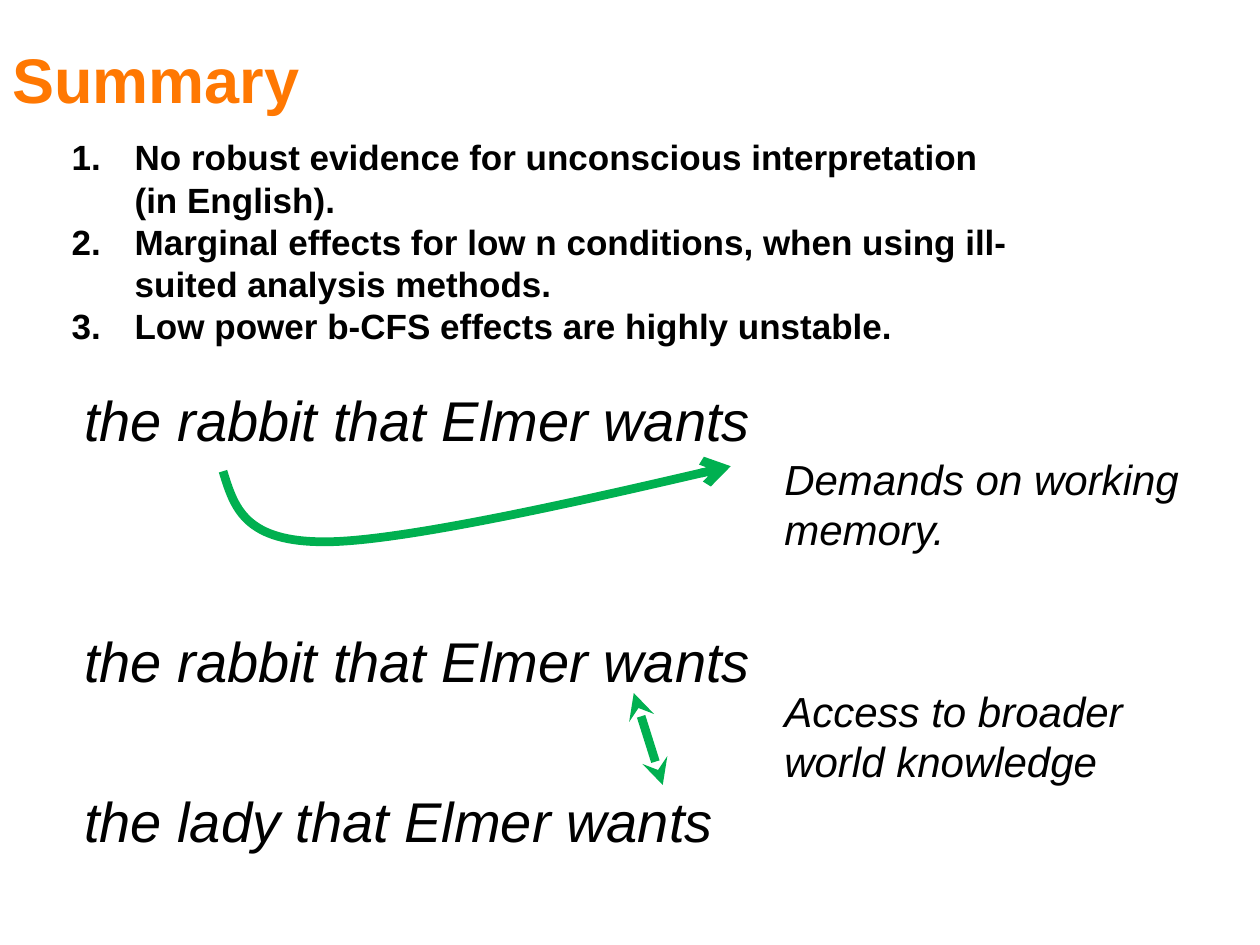
from lxml.etree import SubElement
from pptx import Presentation
from pptx.dml.color import RGBColor
from pptx.enum.shapes import MSO_CONNECTOR as Connector
from pptx.enum.text import MSO_ANCHOR as Anchor
from pptx.oxml.ns import qn
from pptx.util import Inches, Pt

COLUMNS, ROWS = 100, 75
UNIT = Inches(10) // COLUMNS
ORANGE, BLACK, GREEN = "FF7802", "000000", "00B050"


def grid(*values):
    """Turn grid columns or rows into slide lengths."""
    return [round(value * UNIT) for value in values]


def color(value):
    return RGBColor.from_string(value)


def add_text(page, box, lines, size=24, fill=BLACK, bold=False, italic=False,
             anchor=Anchor.TOP, numbered=False, gap=0):
    frame = page.shapes.add_textbox(*grid(*box)).text_frame
    frame.word_wrap = True
    frame.vertical_anchor = anchor
    for index, line in enumerate(lines):
        para = frame.paragraphs[0] if index == 0 else frame.add_paragraph()
        if index:
            para.space_before = Pt(gap)
        if numbered:
            props = para._p.get_or_add_pPr()
            props.set("marL", str(Inches(0.5)))
            props.set("indent", str(-Inches(0.5)))
            SubElement(props, qn("a:buFont"), typeface="+mj-lt")
            SubElement(props, qn("a:buAutoNum"), type="arabicPeriod")
        span = para.add_run()
        span.text = line
        span.font.name = "Arial"
        span.font.size = Pt(size)
        span.font.bold, span.font.italic = bold, italic
        span.font.color.rgb = color(fill)


def style_arrow(shape, head=None, tail=None):
    shape.line.color.rgb = color(GREEN)
    shape.line.width = Pt(5)
    outline = shape.line._get_or_add_ln()
    for tag, kind in (("a:headEnd", head), ("a:tailEnd", tail)):
        if kind:
            SubElement(outline, qn(tag), type=kind)


def add_curved_arrow(page, points):
    """Draw cubic segments: a start point, then three points for each segment."""
    start, *rest = [grid(*point) for point in points]
    builder = page.shapes.build_freeform(*start)
    builder.add_line_segments(rest, close=False)
    curve = builder.convert_to_shape()
    curve.shadow.inherit = False
    curve.fill.background()
    outline = next(curve._element.iter(qn("a:path")))
    segments = outline.findall(qn("a:lnTo"))
    for first in range(0, len(segments), 3):
        bezier = SubElement(outline, qn("a:cubicBezTo"))
        for segment in segments[first:first + 3]:
            bezier.append(segment[0])
            outline.remove(segment)
    style_arrow(curve, tail="arrow")


def add_double_arrow(page, start, end):
    link = page.shapes.add_connector(Connector.STRAIGHT, *grid(*start, *end))
    style_arrow(link, head="stealth", tail="stealth")
    SubElement(link._element.spPr, qn("a:effectLst"))


def add_example(page, box, phrases, note, note_top):
    """Place example phrases with an explanation at their right."""
    left, top, width, height = box
    add_text(page, (left, top, 0.62 * width, height), phrases,
             size=32, italic=True, gap=53)
    add_text(page, (left + 0.625 * width, top + note_top, 0.375 * width, 9.1),
             [note], italic=True)


def add_memory_example(page, box):
    left, top = box[:2]
    add_example(page, box, ["the rabbit that Elmer wants"],
                "Demands on working memory.", 5.4)
    points = [(12, 7.3), (12.9, 10.2), (13.7, 13), (20.4, 12.9),
              (27.2, 12.8), (52.3, 6.9), (52.3, 6.9)]
    add_curved_arrow(page, [(left + x, top + y) for x, y in points])


def add_knowledge_example(page, box):
    left, top = box[:2]
    add_example(page, box,
                ["the rabbit that Elmer wants", "the lady that Elmer wants"],
                "Access to broader world knowledge", 4.7)
    add_double_arrow(page, (left + 44.6, top + 5.8), (left + 46.9, top + 13.1))


def main():
    deck = Presentation()
    deck.slide_width, deck.slide_height = grid(COLUMNS, ROWS)
    page = deck.slides.add_slide(deck.slide_layouts[6])
    add_text(page, (0, 0, 85.8, 12.5), ["Summary"], size=36, fill=ORANGE,
             bold=True, anchor=Anchor.MIDDLE)
    add_text(page, (4.7, 10.3, 76.5, 17.8), [
        "No robust evidence for unconscious interpretation (in English).",
        "Marginal effects for low n conditions, when using ill-suited analysis methods.",
        "Low power b-CFS effects are highly unstable.",
    ], size=20, bold=True, numbered=True)
    add_memory_example(page, (5.7, 30.1, 88.9, 6.1))
    add_knowledge_example(page, (5.7, 49.2, 88.9, 18.6))
    deck.save("out.pptx")


if __name__ == "__main__":
    main()
